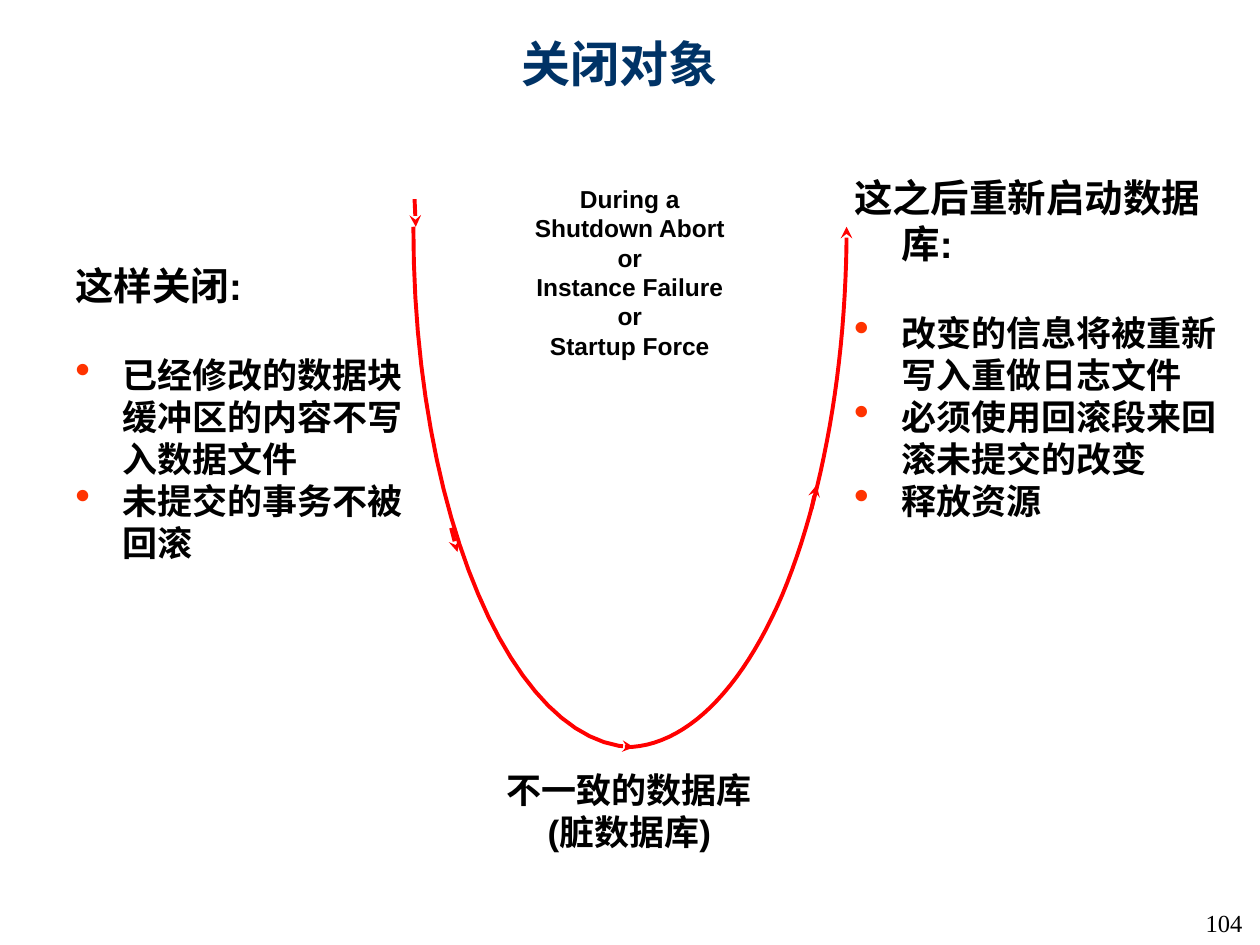
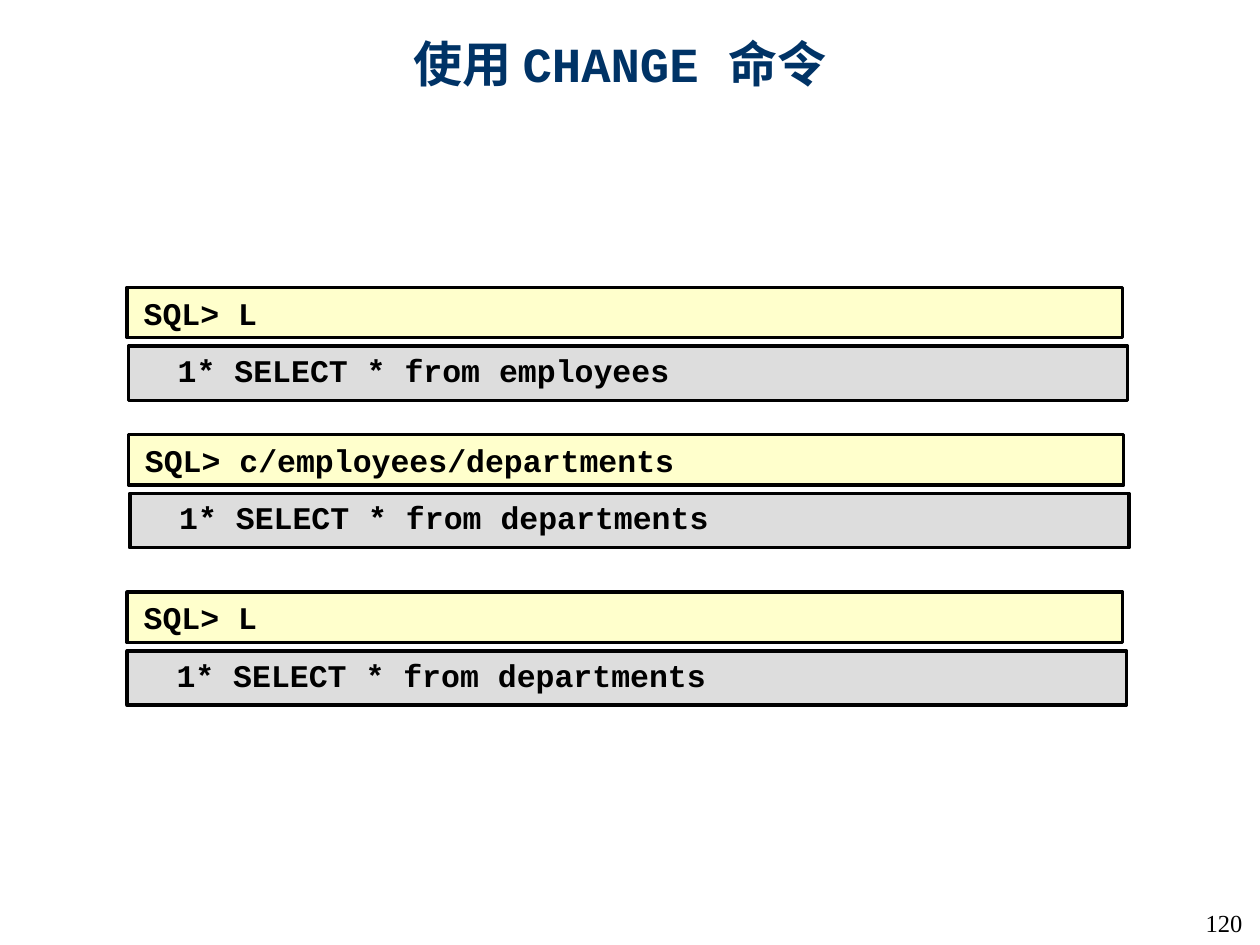
"""Builds two database training slides: shutdown behaviour and the CHANGE command."""
from dataclasses import dataclass
from typing import NamedTuple

import pptx
import pptx.dml.color
import pptx.enum.shapes
import pptx.enum.text
import pptx.oxml
import pptx.oxml.ns
import pptx.util

Pt = pptx.util.Pt
ALIGN = pptx.enum.text.PP_ALIGN
ANCHOR = pptx.enum.text.MSO_ANCHOR

NAVY, BLACK, RED, ORANGE = "003366", "000000", "FF0000", "FF3300"
CREAM, GRAY = "FFFFCC", "DDDDDD"
SANS, MONO, SERIF = "Arial", "Courier New", "Times New Roman"
INSETS = (7.2, 3.6, 7.2, 3.6)
HANGING = 27
CURVE_STEPS = 24


class Point(NamedTuple):
    """A place on the slide in points."""
    x: float
    y: float


class Box(NamedTuple):
    """A rectangle on the slide in points."""
    left: float
    top: float
    width: float
    height: float


@dataclass(frozen=True)
class Run:
    """A stretch of text in one font."""
    text: str
    font: str = SANS


@dataclass(frozen=True)
class Line:
    """A paragraph with its own size and indent."""
    runs: tuple[Run, ...]
    size: float
    left: float = 0
    first: float = 0
    before: float = 0
    bullet: bool = False


@dataclass(frozen=True)
class BulletList:
    """A heading with bullets below it."""
    box: Box
    heading: str
    items: tuple[str, ...]


@dataclass(frozen=True)
class Exchange:
    """A typed command and the result printed under it."""
    top: float
    command_left: float
    result_left: float
    command: str
    result: str


LISTS = (
    BulletList(Box(36, 146.2, 216, 180), "这样关闭:",
               ("已经修改的数据块缓冲区的内容不写入数据文件", "未提交的事务不被回滚")),
    BulletList(Box(481, 95.8, 227.5, 206.6), "这之后重新启动数据库:",
               ("改变的信息将被重新写入重做日志文件", "必须使用回滚段来回滚未提交的改变", "释放资源")),
)

CURVES = (
    (Point(362.2, 427), Point(293, 426.2), Point(236.2, 293.8), Point(236.2, 129.6)),
    (Point(483.8, 129.6), Point(483.8, 208.8), Point(470.2, 284.4), Point(447.1, 339.8),
     Point(423.4, 395.3), Point(391, 427), Point(357.1, 427)),
)

ARROWS = (
    (Point(236.9, 113.8), Point(237.6, 129.6)),
    (Point(257.8, 301.7), Point(261.4, 315.4)),
    (Point(463.7, 290.9), Point(466.6, 277.2)),
)

EXCHANGES = (
    Exchange(164.2, 72.7, 73.4, "SQL> L", "1* SELECT * from employees"),
    Exchange(248.4, 73.4, 74.2, "SQL> c/employees/departments", "1* SELECT * from departments"),
    Exchange(338.4, 72.7, 72.7, "SQL> L", "1* SELECT * from departments"),
)


def color(value: str) -> pptx.dml.color.RGBColor:
    """Turn a hex string into a colour."""
    return pptx.dml.color.RGBColor.from_string(value)


def element(markup: str):
    """Make a drawing element from the markup of its tag."""
    tag, rest = (markup + " ").split(" ", 1) if ">" not in markup.split(" ")[0] else (markup, "")
    return pptx.oxml.parse_xml(f"<a:{tag} {pptx.oxml.ns.nsdecls('a')} {rest}")


def plain(text: str, size: float, font: str = SANS, **layout) -> Line:
    """Make a paragraph with a single run."""
    return Line((Run(text, font),), size, **layout)


def write(shape, lines: list[Line], *, text_color: str = BLACK, bold: bool = True,
          align=ALIGN.LEFT, anchor=ANCHOR.TOP, insets=INSETS, wrap: bool = True,
          shadow: bool = False) -> None:
    """Fill a shape with formatted paragraphs."""
    frame = shape.text_frame
    frame.word_wrap = wrap
    frame.vertical_anchor = anchor
    frame.margin_left, frame.margin_top, frame.margin_right, frame.margin_bottom = map(Pt, insets)
    for index, line in enumerate(lines):
        paragraph = frame.add_paragraph() if index else frame.paragraphs[0]
        paragraph.alignment = align
        properties = paragraph._p.get_or_add_pPr()
        properties.set("marL", str(Pt(line.left)))
        properties.set("indent", str(Pt(line.first)))
        if line.bullet:
            properties.append(element(f'buClr ><a:srgbClr val="{ORANGE}"/></a:buClr>'))
            properties.append(element('buSzPct val="125000"/>'))
            properties.append(element('buChar char="•"/>'))
        if line.before:
            paragraph.space_before = Pt(line.before)
        for part in line.runs:
            run = paragraph.add_run()
            run.text = part.text
            run.font.size, run.font.bold, run.font.name = Pt(line.size), bold, part.font
            run.font.color.rgb = color(text_color)
            if shadow:
                fill = run._r.rPr.find(pptx.oxml.ns.qn("a:solidFill"))
                fill.addnext(element(
                    'effectLst ><a:outerShdw dist="17961" dir="2700000">'
                    '<a:srgbClr val="C0C0C0"/></a:outerShdw></a:effectLst>'))


def add_text(slide, box: Box, lines: list[Line], **options) -> None:
    """Add a text box."""
    write(slide.shapes.add_textbox(*map(Pt, box)), lines, **options)


def add_bar(slide, box: Box, fill: str, line: Line, insets) -> None:
    """Add a bordered bar holding one line of code."""
    shape = slide.shapes.add_shape(pptx.enum.shapes.MSO_SHAPE.RECTANGLE, *map(Pt, box))
    shape.shadow.inherit = False
    shape.fill.solid()
    shape.fill.fore_color.rgb = color(fill)
    shape.line.color.rgb = color(BLACK)
    shape.line.width = Pt(2)
    write(shape, [line], anchor=ANCHOR.MIDDLE, insets=insets)


def style_arrow(shape, end: str) -> None:
    """Give a line the red stroke and an arrowhead at one end."""
    shape.line.color.rgb = color(RED)
    shape.line.width = Pt(2.25)
    shape.line._get_or_add_ln().append(element(f'{end} type="stealth"/>'))


def bezier(start: Point, first: Point, second: Point, end: Point) -> list[Point]:
    """Sample a cubic curve, leaving out its start."""
    points = []
    for step in range(1, CURVE_STEPS + 1):
        t = step / CURVE_STEPS
        weights = ((1 - t) ** 3, 3 * t * (1 - t) ** 2, 3 * t * t * (1 - t), t ** 3)
        corners = (start, first, second, end)
        points.append(Point(sum(w * p.x for w, p in zip(weights, corners)),
                            sum(w * p.y for w, p in zip(weights, corners))))
    return points


def add_curve(slide, controls: tuple[Point, ...]) -> None:
    """Draw joined cubic curves with an arrowhead at the start."""
    builder = slide.shapes.build_freeform(*map(Pt, controls[0]))
    for index in range(0, len(controls) - 1, 3):
        points = bezier(*controls[index:index + 4])
        builder.add_line_segments([(Pt(p.x), Pt(p.y)) for p in points], close=False)
    shape = builder.convert_to_shape()
    shape.shadow.inherit = False
    shape.fill.background()
    style_arrow(shape, "headEnd")


def add_arrow(slide, start: Point, end: Point) -> None:
    """Draw a straight arrow."""
    connector = slide.shapes.add_connector(
        pptx.enum.shapes.MSO_CONNECTOR.STRAIGHT, *map(Pt, start + end))
    style_arrow(connector, "tailEnd")
    connector._element.spPr.append(element("effectLst />"))


def add_slide(presentation, title: tuple[Run, ...], number: int):
    """Add a slide with its title and page number."""
    slide = presentation.slides.add_slide(presentation.slide_layouts[6])
    add_text(slide, Box(48.2, 15.1, 612, 41.8), [Line(title, 28)], text_color=NAVY,
             align=ALIGN.CENTER, anchor=ANCHOR.MIDDLE, shadow=True)
    add_text(slide, Box(689, 519.1, 23.8, 16.6), [plain(str(number), 14, SERIF)],
             bold=False, insets=(0, 0, 0, 0), wrap=False)
    return slide


def build_shutdown(presentation) -> None:
    """Build the slide on shutting down and restarting."""
    slide = add_slide(presentation, (Run("关闭对象"),), 104)
    for controls in CURVES:
        add_curve(slide, controls)
    for start, end in ARROWS:
        add_arrow(slide, start, end)
    causes = ("During a", "Shutdown Abort", "or", "Instance Failure", "or", "Startup Force")
    add_text(slide, Box(298, 101.5, 123.8, 108), [plain(cause, 14) for cause in causes],
             align=ALIGN.CENTER, wrap=False)
    add_text(slide, Box(282.2, 435.6, 154.8, 55.4),
             [plain(text, 20) for text in ("不一致的数据库", "(脏数据库)")],
             align=ALIGN.CENTER, wrap=False)
    for group in LISTS:
        lines = [plain(group.heading, 22, left=HANGING, first=-HANGING)]
        lines += [plain(item, 20, left=HANGING, first=-HANGING, bullet=True,
                        before=0 if index else 26)
                  for index, item in enumerate(group.items)]
        add_text(slide, group.box, lines)


def build_change(presentation) -> None:
    """Build the slide on the CHANGE command."""
    title = (Run("使用 "), Run("CHANGE ", MONO), Run("命令"))
    slide = add_slide(presentation, title, 120)
    for exchange in EXCHANGES:
        add_bar(slide, Box(exchange.command_left, exchange.top, 568.8, 28.8), CREAM,
                plain(exchange.command, 18, MONO), (9.4, 3.6, 7.2, 3.6))
        add_bar(slide, Box(exchange.result_left, exchange.top + 33.6, 571, 31), GRAY,
                plain(exchange.result, 18, MONO, left=20), (8.2, 1.6, 7.2, 5.6))


def main() -> None:
    """Build and save the presentation."""
    presentation = pptx.Presentation()
    presentation.slide_width, presentation.slide_height = Pt(720), Pt(540)
    build_shutdown(presentation)
    build_change(presentation)
    presentation.save("out.pptx")


if __name__ == "__main__":
    main()
